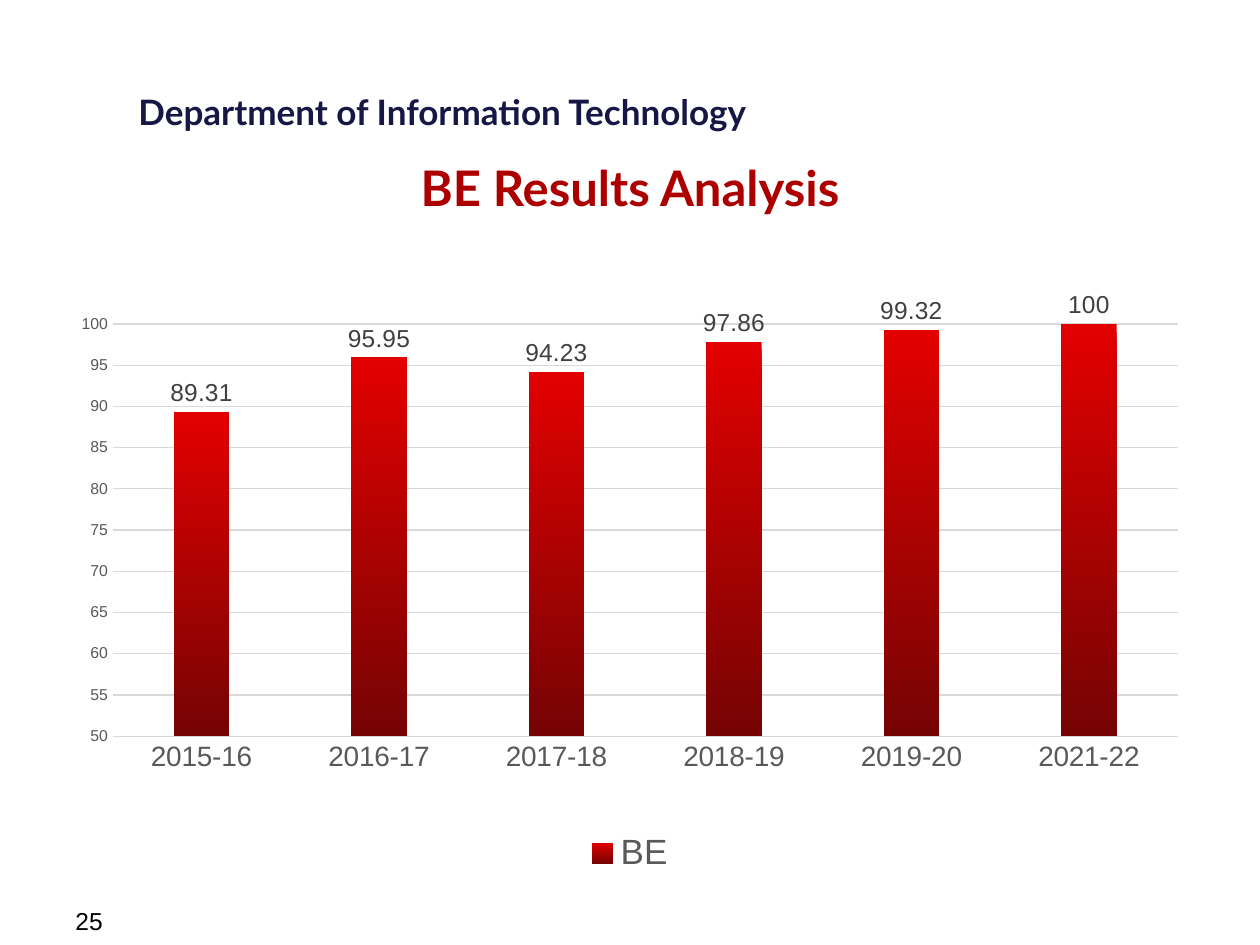
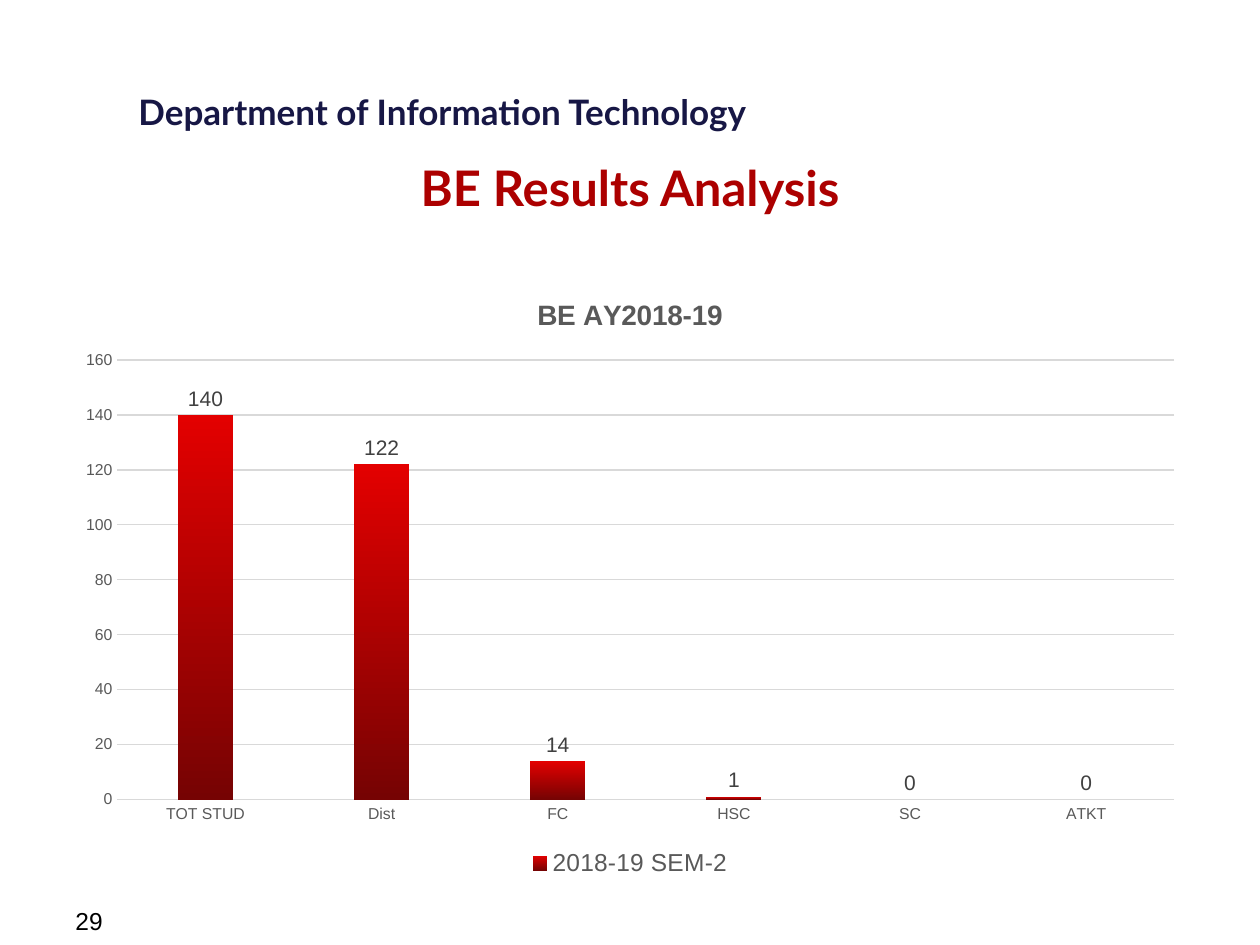
"""Build two result-analysis slides, each with one column chart."""
import pptx
import pptx.chart.data
import pptx.dml.color
import pptx.enum.chart
import pptx.enum.text
import pptx.oxml
import pptx.oxml.ns
import pptx.util

SLIDE_SIZE = (1260, 945)
DEPARTMENT = "Department of Information Technology"
HEADING = "BE Results Analysis"

RESULTS = [
    {
        "number": "25", "title": None, "series": "BE",
        "values": {"2015-16": 89.31, "2016-17": 95.95, "2017-18": 94.23,
                   "2018-19": 97.86, "2019-20": 99.32, "2021-22": 100},
        "scale": (50, 100, 5), "frame": (63, 271, 1134, 609),
        "plot": (113, 324, 1065, 412),
        "sizes": {"category": 16, "legend": 20, "label": 14},
    },
    {
        "number": "29", "title": "BE AY2018-19", "series": "2018-19 SEM-2",
        "values": {"TOT STUD": 140, "Dist": 122, "FC": 14,
                   "HSC": 1, "SC": 0, "ATKT": 0},
        "scale": (0, 160, 20), "frame": (63, 273, 1134, 609),
        "plot": (117, 360, 1057, 440),
        "sizes": {"category": 9, "legend": 14, "label": 12},
    },
]

THEME = {
    "department": {"font": "Lato", "size": 20, "color": "171745", "bold": True},
    "heading": {"font": "Lato", "size": 28, "color": "AC0000", "bold": True},
    "number": {"font": "Arial", "size": 14, "color": "000000", "bold": False},
    "chart": {"font": "Arial", "size": 10, "color": "000000", "bold": False},
    "chart_title": {"font": "Arial", "size": 16, "color": "595959", "bold": True},
    "axis": {"font": "Arial", "size": 9, "color": "595959", "bold": False},
    "label": {"font": "Arial", "size": 12, "color": "404040", "bold": False},
    "rule": "D9D9D9",
    "column": ("E30000", "760303"),
}


def px(length):
    return pptx.util.Emu(length * 914400 // 126)


def rgb(code):
    return pptx.dml.color.RGBColor.from_string(code)


def style(font, role, size=None):
    look = THEME[role]
    font.name = look["font"]
    font.size = pptx.util.Pt(size or look["size"])
    font.bold = look["bold"]
    font.color.rgb = rgb(look["color"])


def add_text(slide, wording, box, role, centred=False, grow=False):
    frame = slide.shapes.add_textbox(*map(px, box)).text_frame
    frame.word_wrap = not grow
    if grow:
        frame.auto_size = pptx.enum.text.MSO_AUTO_SIZE.SHAPE_TO_FIT_TEXT
    paragraph = frame.paragraphs[0]
    if centred:
        paragraph.alignment = pptx.enum.text.PP_ALIGN.CENTER
    run = paragraph.add_run()
    run.text = wording
    style(run.font, role)


def place_plot(chart, frame, plot):
    left, top, width, height = frame
    shares = {"x": (plot[0] - left) / width, "y": (plot[1] - top) / height,
              "w": plot[2] / width, "h": plot[3] / height}
    edges = "".join(f'<c:{mode}Mode val="edge"/>' for mode in "xy")
    places = "".join(f'<c:{key} val="{share:.3f}"/>' for key, share in shares.items())
    area = chart._chartSpace.find(".//" + pptx.oxml.ns.qn("c:plotArea"))
    for automatic in area.findall(pptx.oxml.ns.qn("c:layout")):
        area.remove(automatic)
    area.insert(0, pptx.oxml.parse_xml(
        f'<c:layout {pptx.oxml.ns.nsdecls("c")}><c:manualLayout>'
        f'<c:layoutTarget val="inner"/>{edges}{places}</c:manualLayout></c:layout>'))


def rule(line):
    line.color.rgb = rgb(THEME["rule"])
    line.width = pptx.util.Pt(0.75)


def style_axes(chart, scale, category_size):
    categories, amounts = chart.category_axis, chart.value_axis
    for axis in (categories, amounts):
        axis.major_tick_mark = axis.minor_tick_mark = pptx.enum.chart.XL_TICK_MARK.NONE
    style(categories.tick_labels.font, "axis", category_size)
    style(amounts.tick_labels.font, "axis")
    rule(categories.format.line)
    rule(amounts.major_gridlines.format.line)
    amounts.format.line.fill.background()
    amounts.minimum_scale, amounts.maximum_scale, amounts.major_unit = scale


def style_columns(columns, label_size):
    columns.gap_width, columns.overlap = 219, -27
    columns.vary_by_categories = False
    series = columns.series[0]
    fill = series.format.fill
    fill.gradient()
    fill.gradient_angle = 270
    for stop, position, color in zip(fill.gradient_stops, (0, 1), THEME["column"]):
        stop.position = position
        stop.color.rgb = rgb(color)
    labels = series.data_labels
    labels.show_value = True
    labels.position = pptx.enum.chart.XL_LABEL_POSITION.OUTSIDE_END
    style(labels.font, "label", label_size)


def add_results(slide, results):
    data = pptx.chart.data.CategoryChartData()
    data.categories = list(results["values"])
    data.add_series(results["series"], list(results["values"].values()))
    chart = slide.shapes.add_chart(
        pptx.enum.chart.XL_CHART_TYPE.COLUMN_CLUSTERED,
        *map(px, results["frame"]), data).chart
    sizes = results["sizes"]
    style(chart.font, "chart")
    chart.has_title = bool(results["title"])
    if results["title"]:
        run = chart.chart_title.text_frame.paragraphs[0].add_run()
        run.text = results["title"]
        style(run.font, "chart_title")
    chart.has_legend = True
    chart.legend.position = pptx.enum.chart.XL_LEGEND_POSITION.BOTTOM
    chart.legend.include_in_layout = False
    style(chart.legend.font, "axis", sizes["legend"])
    style_axes(chart, results["scale"], sizes["category"])
    style_columns(chart.plots[0], sizes["label"])
    place_plot(chart, results["frame"], results["plot"])


def main():
    deck = pptx.Presentation()
    deck.slide_width, deck.slide_height = map(px, SLIDE_SIZE)
    for results in RESULTS:
        slide = deck.slides.add_slide(deck.slide_layouts[6])
        add_text(slide, DEPARTMENT, (126, 84, 674, 55), "department", grow=True)
        add_text(slide, HEADING, (63, 151, 1134, 60), "heading", centred=True)
        add_text(slide, results["number"], (63, 900, 294, 34), "number")
        add_results(slide, results)
    deck.save("out.pptx")


if __name__ == "__main__":
    main()
